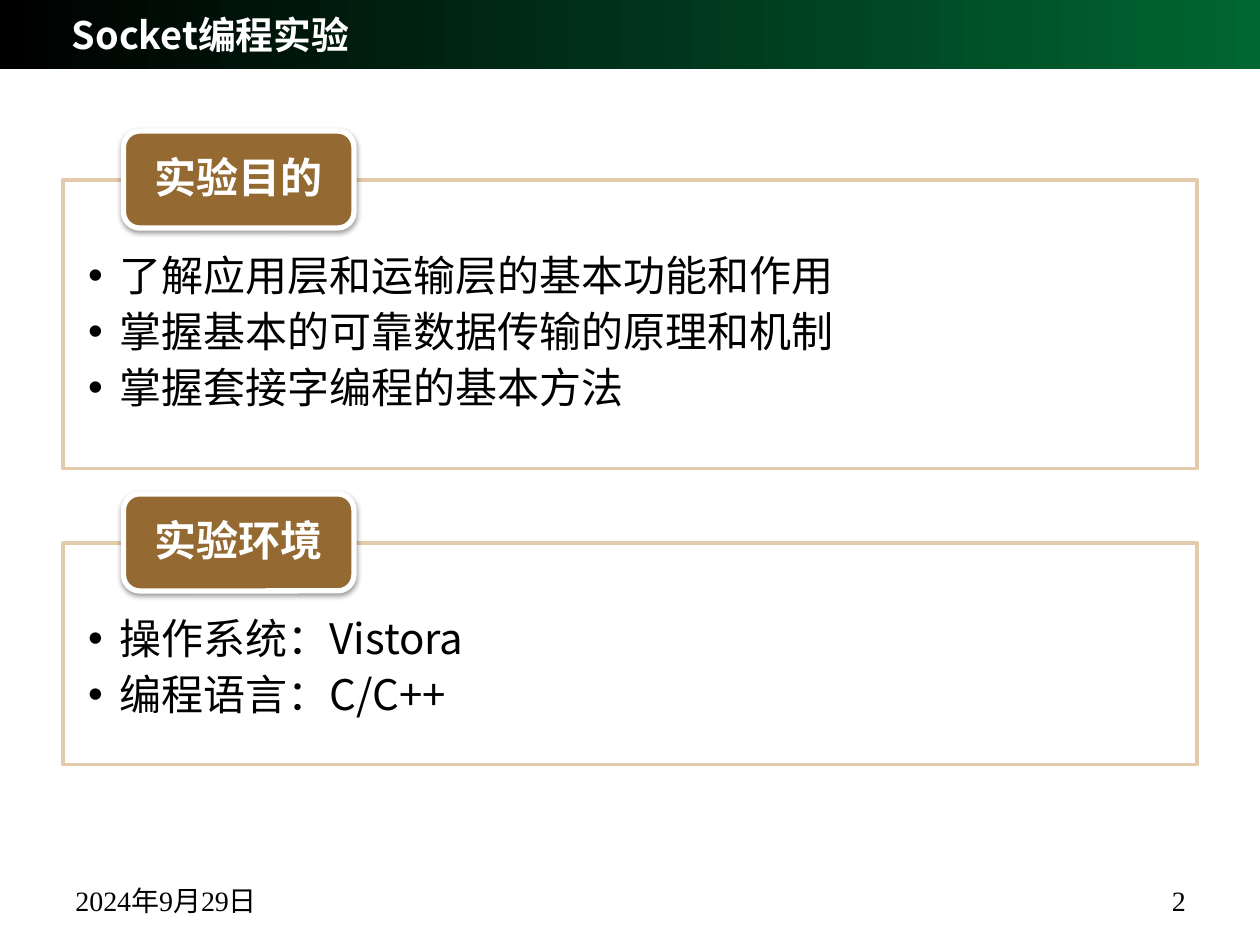
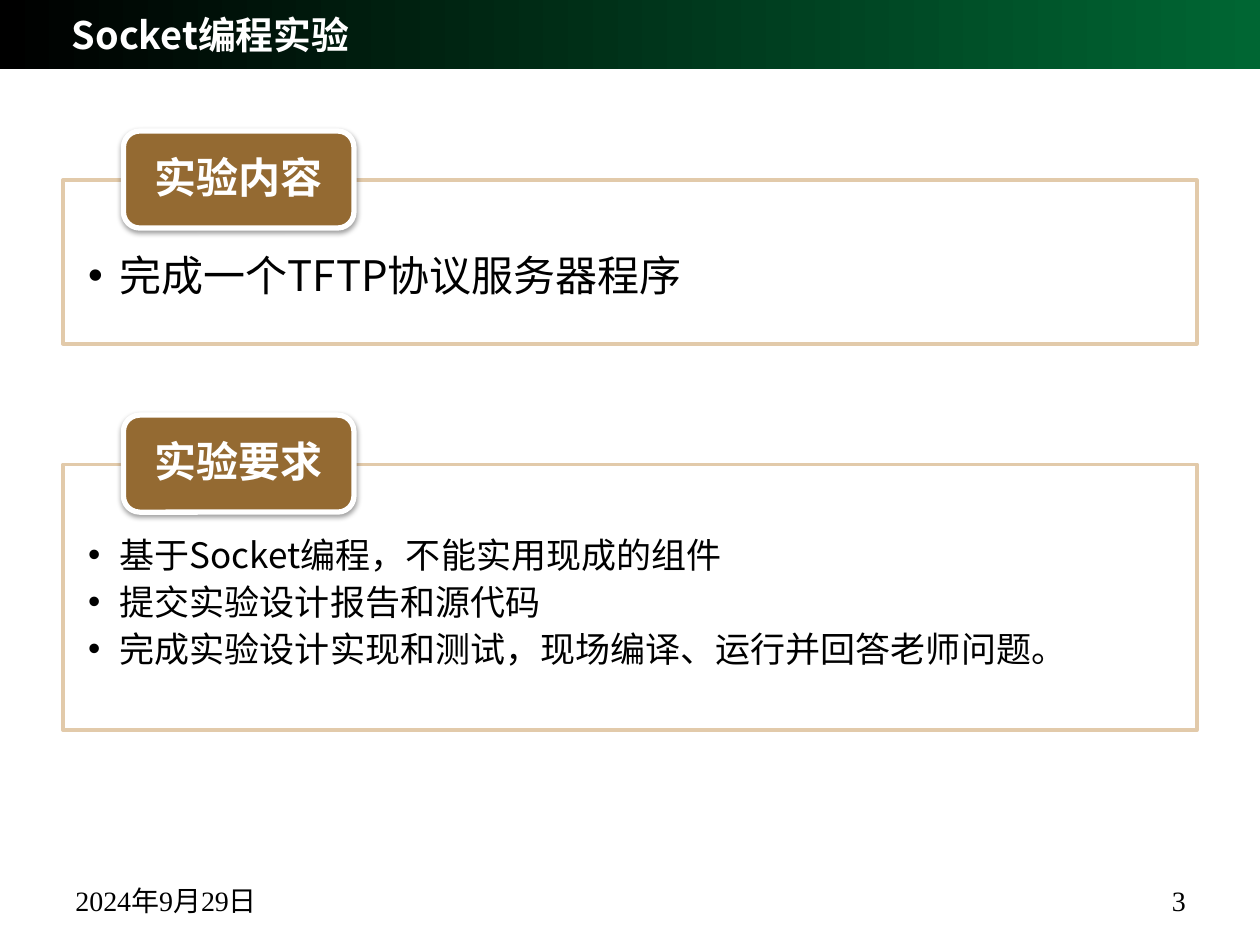
import lxml.etree
import pptx
import pptx.dml.color
import pptx.enum.dml
import pptx.enum.shapes
import pptx.enum.text
import pptx.oxml.ns
import pptx.util

COLOURS = {
    "black": "000000",
    "green": "006633",
    "white": "FFFFFF",
    "sand": "E2CAAA",
    "brown": "946A32",
}
SANS = "Noto Sans CJK SC"
SERIF = "Times New Roman"
COLUMNS, ROWS = 100, 75
TITLE = "Socket编程实验"
DATE = "2024年9月29日"
FIRST_NUMBER = 2
SLIDES = [
    [
        {"tag": "实验目的", "top": 14.3, "height": 22.9, "size": 24,
         "items": ["了解应用层和运输层的基本功能和作用",
                   "掌握基本的可靠数据传输的原理和机制",
                   "掌握套接字编程的基本方法"]},
        {"tag": "实验环境", "top": 43.1, "height": 17.6, "size": 24,
         "items": ["操作系统：Vistora", "编程语言：C/C++"]},
    ],
    [
        {"tag": "实验内容", "top": 14.3, "height": 13, "size": 24,
         "items": ["完成一个TFTP协议服务器程序"]},
        {"tag": "实验要求", "top": 36.85, "height": 21.1, "size": 20,
         "items": ["基于Socket编程，不能实用现成的组件",
                   "提交实验设计报告和源代码",
                   "完成实验设计实现和测试，现场编译、运行并回答老师问题。"]},
    ],
]


def colour(name):
    return pptx.dml.color.RGBColor.from_string(COLOURS[name])


def add_element(parent, tag, **attributes):
    return lxml.etree.SubElement(parent, pptx.oxml.ns.qn(tag), attributes)


class Deck:
    """Holds the style and the slide being built; lengths are grid columns and rows."""

    def __init__(self):
        self.presentation = pptx.Presentation()
        self.presentation.slide_width = pptx.util.Inches(10)
        self.presentation.slide_height = pptx.util.Inches(7.5)
        self.slide = None

    def box(self, left, top, width, height):
        column = self.presentation.slide_width / COLUMNS
        row = self.presentation.slide_height / ROWS
        return [round(value) for value in
                (left * column, top * row, width * column, height * row)]

    def start_slide(self):
        two_content = self.presentation.slide_layouts[3]
        self.slide = self.presentation.slides.add_slide(two_content)

    def place(self, shape, *cells):
        shape.left, shape.top, shape.width, shape.height = self.box(*cells)

    def send_to_back(self, shape):
        self.slide.shapes._spTree.insert(2, shape._element)

    def style(self, paragraph, size, colour_name="black", font=SANS, bold=False,
              align="LEFT"):
        paragraph.alignment = getattr(pptx.enum.text.PP_ALIGN, align)
        paragraph.font.size = pptx.util.Pt(size)
        paragraph.font.bold = bold
        paragraph.font.color.rgb = colour(colour_name)
        paragraph.font.name = font
        defaults = paragraph._p.pPr.find(pptx.oxml.ns.qn("a:defRPr"))
        add_element(defaults, "a:ea", typeface=SANS)

    def anchor(self, frame, position, wrap=True):
        frame.auto_size = pptx.enum.text.MSO_AUTO_SIZE.NONE
        frame.vertical_anchor = getattr(pptx.enum.text.MSO_ANCHOR, position)
        frame.word_wrap = wrap

    def add_shape(self, preset, *cells):
        kind = getattr(pptx.enum.shapes.MSO_SHAPE, preset)
        shape = self.slide.shapes.add_shape(kind, *self.box(*cells))
        shape.shadow.inherit = False
        return shape

    def add_band(self):
        band = self.add_shape("RECTANGLE", 0, 0, COLUMNS, 5.5)
        band.line.fill.background()
        band.fill.gradient()
        band.fill.gradient_angle = 0
        for stop, name in zip(band.fill.gradient_stops, ("black", "green")):
            stop.color.rgb = colour(name)
        self.send_to_back(band)

    def add_title(self, text):
        title = self.slide.shapes.title
        self.place(title, 4.7, 0.8, 24.8, 3.9)
        title.text_frame.text = text
        self.anchor(title.text_frame, "MIDDLE", wrap=False)
        self.style(title.text_frame.paragraphs[0], 21.6, "white", bold=True)

    def add_footer(self, text, left, width, align):
        footer = self.slide.shapes.add_textbox(*self.box(left, 68.25, width, 5))
        footer.text_frame.text = text
        self.anchor(footer.text_frame, "BOTTOM")
        self.style(footer.text_frame.paragraphs[0], 16, font=SERIF, align=align)

    def add_frame(self, top, height):
        frame = self.add_shape("RECTANGLE", 5, top, 90, height)
        frame.fill.solid()
        frame.fill.fore_color.rgb = colour("white")
        value = frame._element.spPr.find(".//" + pptx.oxml.ns.qn("a:srgbClr"))
        add_element(value, "a:alpha", val="90000")
        frame.line.color.rgb = colour("sand")
        frame.line.width = pptx.util.Pt(2)
        self.send_to_back(frame)

    def add_list(self, placeholder, top, height, items, size):
        self.place(placeholder, 5, top, 90.7, height)
        frame = placeholder.text_frame
        frame.text = "\n".join(items)
        self.anchor(frame, "TOP")
        frame.margin_left = frame.margin_right = pptx.util.Inches(0.2)
        frame.margin_top = pptx.util.Inches(0.55)
        frame.margin_bottom = pptx.util.Inches(0.19)
        indent = pptx.util.Inches(0.25)
        for paragraph in frame.paragraphs:
            paragraph.level = 1
            paragraph.line_spacing = 1.0
            paragraph.space_before = pptx.util.Pt(0)
            paragraph.space_after = pptx.util.Pt(round(size * 0.135, 1))
            properties = paragraph._p.get_or_add_pPr()
            properties.set("marL", str(indent))
            properties.set("indent", str(-indent))
            add_element(properties, "a:buChar", char="•")
            self.style(paragraph, size)

    def add_tag(self, text, top):
        tag = self.add_shape("ROUNDED_RECTANGLE", 9.8, top, 18.3, 7.7)
        tag.fill.solid()
        tag.fill.fore_color.rgb = colour("brown")
        tag.line.color.rgb = colour("white")
        tag.line.width = pptx.util.Pt(3)
        effects = tag._element.spPr.find(pptx.oxml.ns.qn("a:effectLst"))
        shadow = add_element(effects, "a:outerShdw", dir="5400000",
                             blurRad=str(pptx.util.Pt(3.1)),
                             dist=str(pptx.util.Pt(1.6)), rotWithShape="0")
        shade = add_element(shadow, "a:srgbClr", val=COLOURS["black"])
        add_element(shade, "a:alpha", val="38000")
        tag.text_frame.text = text
        self.anchor(tag.text_frame, "MIDDLE")
        paragraph = tag.text_frame.paragraphs[0]
        paragraph.line_spacing = 0.9
        self.style(paragraph, 24, "white", bold=True, align="CENTER")

    def add_panel(self, placeholder, panel):
        self.add_frame(panel["top"], panel["height"])
        self.add_list(placeholder, panel["top"], panel["height"],
                      panel["items"], panel["size"])
        self.add_tag(panel["tag"], panel["top"] - 3.9)


def main():
    deck = Deck()
    for number, panels in enumerate(SLIDES, FIRST_NUMBER):
        deck.start_slide()
        deck.add_title(TITLE)
        for index, panel in enumerate(panels, 1):
            deck.add_panel(deck.slide.placeholders[index], panel)
        deck.add_band()
        deck.add_footer(DATE, 5, 23.3, "LEFT")
        deck.add_footer(str(number), 63.4, 31.7, "RIGHT")
    deck.presentation.save("out.pptx")


if __name__ == "__main__":
    main()
